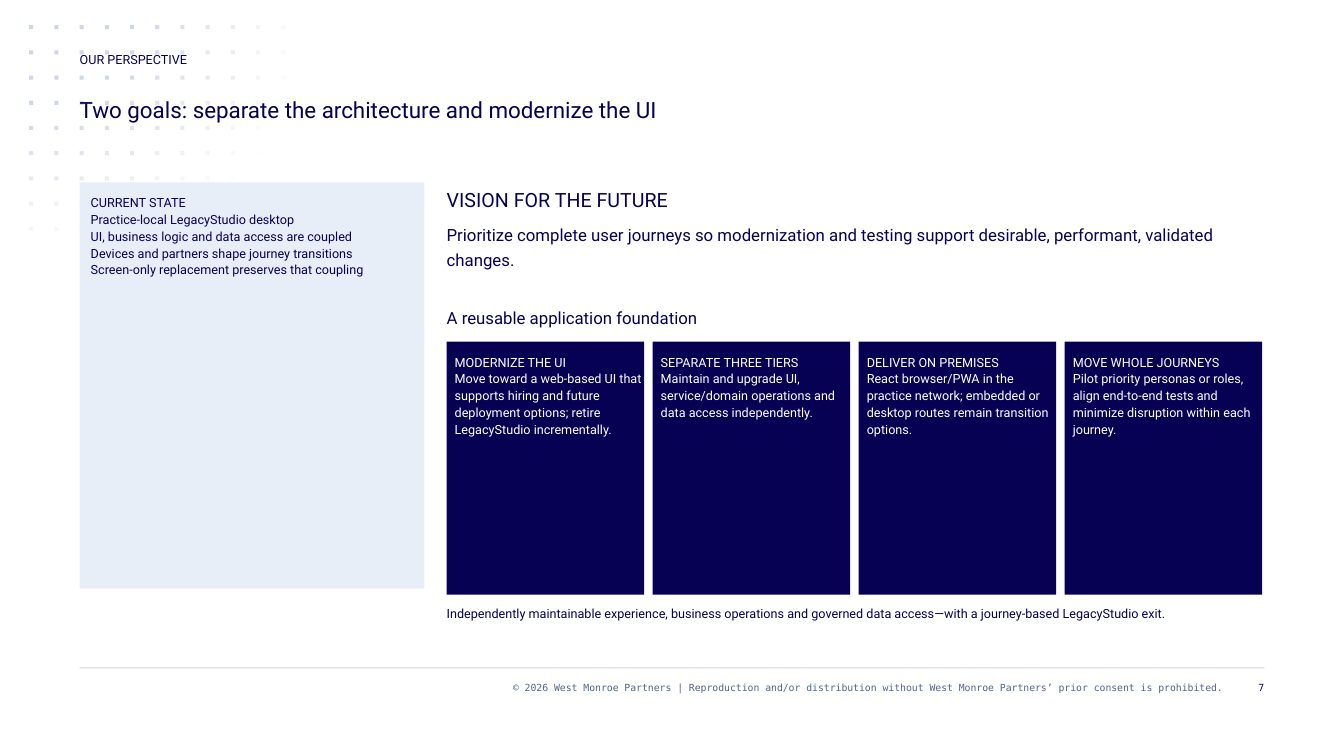
from dataclasses import dataclass

from lxml import etree
from pptx import Presentation
from pptx.dml.color import RGBColor
from pptx.enum.shapes import MSO_SHAPE
from pptx.enum.text import MSO_ANCHOR, PP_ALIGN
from pptx.oxml.ns import qn
from pptx.util import Inches, Pt

RECTANGLE = MSO_SHAPE.RECTANGLE
TOP = MSO_ANCHOR.TOP
LEFT, RIGHT = PP_ALIGN.LEFT, PP_ALIGN.RIGHT


@dataclass(frozen=True)
class TextStyle:
    size: float
    leading: float
    color: str
    font: str = "Roboto"


class Theme:
    navy = "070154"
    mist = "CED7E6"
    pale = "E8EEF8"
    mono = "DejaVu Sans Mono"
    title = TextStyle(16, 24, navy)
    heading = TextStyle(14, 21, navy)
    lead = TextStyle(12, 18, navy)
    body = TextStyle(9, 12, navy)
    card = TextStyle(9, 12, "FFFFFF")
    legal = TextStyle(7, 9, "50658E", mono)
    page = TextStyle(7, 9, navy, mono)


MARGIN = 0.79
CONTENT_WIDTH = 11.75
VISION_LEFT = 4.43
VISION_WIDTH = 8.11

# Opacity in percent: one row per column of dots, read from top to bottom
DOT_OPACITY = [
    [100, 100, 100, 100, 85, 69, 52, 35, 18],
    [100, 100, 100, 100, 84, 67, 51, 34, 17],
    [100, 100, 100, 95, 80, 64, 48, 32, 15],
    [100, 100, 100, 87, 73, 59, 43],
    [98, 95, 88, 77, 65, 52, 37],
    [84, 81, 76, 67, 56, 43, 30],
    [70, 68, 63, 55, 46, 34, 22],
    [56, 55, 50, 43, 35, 24, 13],
    [42, 41, 37, 31, 23, 14, 3],
    [29, 27, 24, 18, 11, 2],
    [15, 14, 11, 6],
]

CURRENT_STATE = [
    "CURRENT STATE",
    "Practice-local LegacyStudio desktop",
    "UI, business logic and data access are coupled",
    "Devices and partners shape journey transitions",
    "Screen-only replacement preserves that coupling",
]

FOUNDATION_CARDS = [
    ("MODERNIZE THE UI",
     "Move toward a web-based UI that supports hiring and future "
     "deployment options; retire LegacyStudio incrementally."),
    ("SEPARATE THREE TIERS",
     "Maintain and upgrade UI, service/domain operations and "
     "data access independently."),
    ("DELIVER ON PREMISES",
     "React browser/PWA in the practice network; embedded or "
     "desktop routes remain transition options."),
    ("MOVE WHOLE JOURNEYS",
     "Pilot priority personas or roles, align end-to-end tests and "
     "minimize disruption within each journey."),
]


def add_panel(slide, left, top, width, height, color, opacity=100):
    """Add a borderless rectangle; opacity is in percent."""
    panel = slide.shapes.add_shape(
        RECTANGLE, Inches(left), Inches(top), Inches(width), Inches(height))
    panel.shadow.inherit = False
    panel.line.fill.background()
    panel.fill.solid()
    panel.fill.fore_color.rgb = RGBColor.from_string(color)
    if opacity < 100:
        fill_color = panel.fill._xPr.find(".//" + qn("a:srgbClr"))
        etree.SubElement(fill_color, qn("a:alpha"), val=str(opacity * 1000))


def add_text(slide, left, top, width, height, lines, style, align=LEFT):
    """Add an unpadded text box with one paragraph per line."""
    box = slide.shapes.add_textbox(
        Inches(left), Inches(top), Inches(width), Inches(height))
    frame = box.text_frame
    frame.word_wrap = True
    frame.vertical_anchor = TOP
    frame.margin_left = frame.margin_right = 0
    frame.margin_top = frame.margin_bottom = 0
    frame.text = "\n".join(lines)
    for paragraph in frame.paragraphs:
        paragraph.alignment = align
        paragraph.line_spacing = Pt(style.leading)
        paragraph.font.name = style.font
        paragraph.font.size = Pt(style.size)
        paragraph.font.color.rgb = RGBColor.from_string(style.color)


def add_dot_pattern(slide):
    pitch, size = 0.25, 0.04
    for column, opacities in enumerate(DOT_OPACITY):
        for row, opacity in enumerate(opacities):
            add_panel(slide, 0.29 + column * pitch, 0.25 + row * pitch,
                      size, size, Theme.mist, opacity)


def add_footer(slide):
    add_panel(slide, MARGIN, 6.62, CONTENT_WIDTH, 0.01, Theme.mist)
    add_text(slide, 2.38, 6.75, 9.75, 0.25,
             ["© 2026 West Monroe Partners | Reproduction and/or distribution "
              "without West Monroe Partners’ prior consent is prohibited."],
             Theme.legal, RIGHT)
    add_text(slide, 12.21, 6.75, 0.33, 0.25, ["7"], Theme.page, RIGHT)


def add_header(slide):
    add_text(slide, MARGIN, 0.5, 3.61, 0.25, ["OUR PERSPECTIVE"], Theme.body)
    add_text(slide, MARGIN, 0.89, CONTENT_WIDTH, 0.67,
             ["Two goals: separate the architecture and modernize the UI"],
             Theme.title)


def add_current_state(slide):
    add_panel(slide, MARGIN, 1.81, 3.42, 4.03, Theme.pale)
    add_text(slide, 0.9, 1.92, 3.22, 3.75, CURRENT_STATE, Theme.body)


def add_vision(slide):
    sections = [
        (1.81, 0.31, "VISION FOR THE FUTURE", Theme.heading),
        (2.18, 0.76, "Prioritize complete user journeys so modernization and "
         "testing support desirable, performant, validated changes.",
         Theme.lead),
        (3, 0.26, "A reusable application foundation", Theme.lead),
        (5.99, 0.51, "Independently maintainable experience, business "
         "operations and governed data access—with a journey-based "
         "LegacyStudio exit.", Theme.body),
    ]
    for top, height, wording, style in sections:
        add_text(slide, VISION_LEFT, top, VISION_WIDTH, height,
                 [wording], style)


def add_foundation_cards(slide):
    top, width, height = 3.39, 1.96, 2.51
    pad_left, pad_top = 0.08, 0.11
    last_left = 10.56
    pitch = (last_left - VISION_LEFT) / (len(FOUNDATION_CARDS) - 1)
    for index, card in enumerate(FOUNDATION_CARDS):
        left = VISION_LEFT + index * pitch
        add_panel(slide, left, top, width, height, Theme.navy)
        add_text(slide, left + pad_left, top + pad_top, width - pad_left,
                 2.33, card, Theme.card)


def main():
    deck = Presentation()
    deck.slide_width = Inches(13.33)
    deck.slide_height = Inches(7.5)
    slide = deck.slides.add_slide(deck.slide_layouts[6])
    add_dot_pattern(slide)
    add_footer(slide)
    add_header(slide)
    add_current_state(slide)
    add_vision(slide)
    add_foundation_cards(slide)
    deck.save("out.pptx")


if __name__ == "__main__":
    main()
